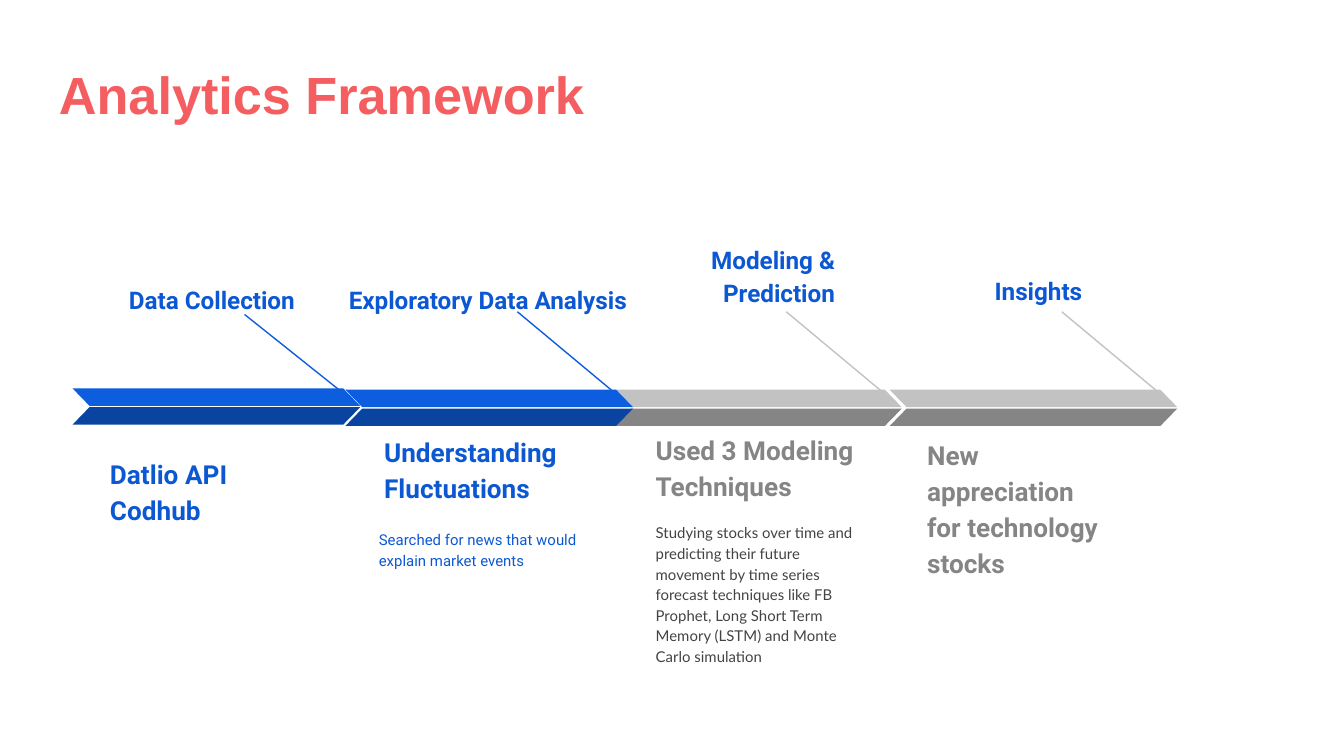
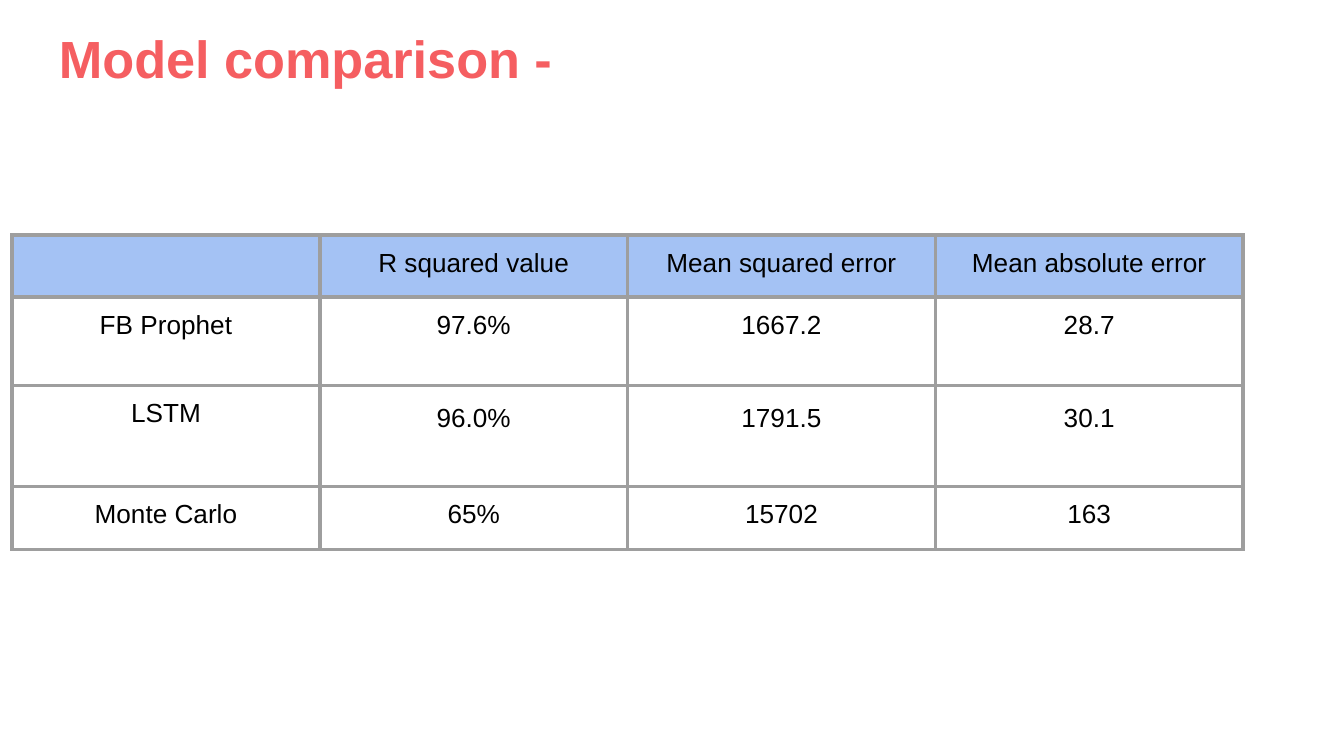
from lxml import etree
from pptx import Presentation
from pptx.dml.color import RGBColor
from pptx.enum.shapes import MSO_CONNECTOR, MSO_SHAPE
from pptx.enum.text import MSO_ANCHOR, PP_ALIGN
from pptx.oxml.ns import qn
from pptx.util import Inches, Pt

LEFT, CENTER, RIGHT = PP_ALIGN.LEFT, PP_ALIGN.CENTER, PP_ALIGN.RIGHT
TOP, BOTTOM = MSO_ANCHOR.TOP, MSO_ANCHOR.BOTTOM
PARALLELOGRAM = MSO_SHAPE.PARALLELOGRAM
STRAIGHT = MSO_CONNECTOR.STRAIGHT

CORAL, BLACK, WHITE = "F55E61", "000000", "FFFFFF"
BLUE, BRIGHT_BLUE, DARK_BLUE = "0C58D3", "0D5DDF", "0944A1"
LIGHT_GRAY, GRAY, CHARCOAL = "C2C2C2", "858585", "434343"
HEADER_BLUE, BORDER_GRAY = "A4C2F4", "9E9E9E"
INSET = Inches(0.1)


def rgb(value):
    return RGBColor.from_string(value)


def write_text(frame, text, *, size, color, font="Arial", bold=False,
               align=LEFT, spacing=1.0):
    for index, line in enumerate(text.split("\n")):
        para = frame.paragraphs[0] if index == 0 else frame.add_paragraph()
        para.alignment = align
        para.line_spacing = spacing
        span = para.add_run()
        span.text = line
        span.font.name = font
        span.font.size = Pt(size)
        span.font.bold = bold
        span.font.color.rgb = rgb(color)


class SlideBuilder:
    def __init__(self):
        self.deck = Presentation()
        self.deck.slide_width = Inches(10)
        self.deck.slide_height = Inches(10) * 9 // 16
        self.page = None

    def start_page(self, title, title_top):
        self.page = self.deck.slides.add_slide(self.deck.slide_layouts[6])
        self.text(title, 0.34, title_top, 9.32, 0.68, anchor=BOTTOM,
                  size=28, color=CORAL, bold=True)

    def text(self, text, left, top, width, height, anchor=TOP, **style):
        box = self.page.shapes.add_textbox(
            Inches(left), Inches(top), Inches(width), Inches(height))
        frame = box.text_frame
        frame.word_wrap = True
        frame.vertical_anchor = anchor
        frame.margin_left = frame.margin_right = INSET
        frame.margin_top = frame.margin_bottom = INSET
        write_text(frame, text, **style)

    def label(self, text, left, top, width, height):
        self.text(text, left, top, width, height, size=13, color=BLUE,
                  font="Roboto", bold=True, align=RIGHT, spacing=1.15)

    def heading(self, text, left, top, width, height, color):
        self.text(text, left, top, width, height, anchor=BOTTOM, size=14,
                  color=color, font="Roboto", bold=True, spacing=1.15)

    def detail(self, text, left, top, font, color):
        self.text(text, left, top, 1.81, 0.7, size=8, color=color,
                  font=font, spacing=1.15)

    def line(self, start_x, start_y, end_x, end_y, color):
        line = self.page.shapes.add_connector(
            STRAIGHT, Inches(start_x), Inches(start_y),
            Inches(end_x), Inches(end_y))
        line.line.color.rgb = rgb(color)
        line.line.width = Pt(0.75)
        etree.SubElement(line.element.spPr, qn("a:effectLst"))

    def half_arrow(self, left, top, color, flipped):
        shape = self.page.shapes.add_shape(
            PARALLELOGRAM, Inches(left), Inches(top), Inches(2.14), Inches(0.13))
        shape.adjustments[0] = 0.97
        shape.shadow.inherit = False
        shape.fill.solid()
        shape.fill.fore_color.rgb = rgb(color)
        shape.line.fill.background()
        if flipped:
            shape.element.spPr.get_or_add_xfrm().set("flipH", "1")

    def stage_arrow(self, left, top, leader_top, light, dark):
        self.line(left + 1.28, leader_top, left + 2.12, top + 0.12, light)
        self.half_arrow(left, top, light, True)
        self.half_arrow(left, top + 0.14, dark, False)

    def cell_borders(self, cell):
        properties = cell._tc.get_or_add_tcPr()
        for side in ("lnL", "lnR", "lnT", "lnB"):
            border = etree.SubElement(
                properties, qn(f"a:{side}"), w=str(Pt(2.25)))
            fill = etree.SubElement(border, qn("a:solidFill"))
            etree.SubElement(fill, qn("a:srgbClr"), val=BORDER_GRAY)

    def table(self, rows, left, top, column_width, row_heights, lowered_cells):
        table = self.page.shapes.add_table(
            len(rows), len(rows[0]), Inches(left), Inches(top),
            Inches(column_width * len(rows[0])), Inches(sum(row_heights))).table
        table.first_row = table.horz_banding = False
        for column in table.columns:
            column.width = Inches(column_width)
        for r, values in enumerate(rows):
            table.rows[r].height = Inches(row_heights[r])
            for c, value in enumerate(values):
                cell = table.cell(r, c)
                cell.margin_left = cell.margin_right = INSET
                cell.margin_top = cell.margin_bottom = INSET
                self.cell_borders(cell)
                cell.fill.solid()
                cell.fill.fore_color.rgb = rgb(WHITE if r else HEADER_BLUE)
                if value:
                    write_text(cell.text_frame, value, size=14, color=BLACK,
                               align=CENTER,
                               spacing=1.15 if (r, c) in lowered_cells else 1.0)
                else:
                    cell.text_frame.paragraphs[0].font.size = Pt(14)


def build_framework(builder):
    builder.start_page("Analytics Framework", 0.35)
    for left, top, leader_top, light, dark in (
            (0.54, 2.89, 2.34, BRIGHT_BLUE, DARK_BLUE),
            (4.57, 2.9, 2.32, LIGHT_GRAY, GRAY),
            (6.62, 2.9, 2.32, LIGHT_GRAY, GRAY),
            (2.57, 2.9, 2.32, BRIGHT_BLUE, DARK_BLUE)):
        builder.stage_arrow(left, top, leader_top, light, dark)

    builder.label("Data Collection", 0.4, 1.99, 1.89, 0.21)
    builder.label("Exploratory Data Analysis", 1.95, 1.99, 2.81, 0.4)
    builder.label("Modeling & Prediction", 4.97, 1.69, 1.34, 0.4)
    builder.label("Insights", 7.21, 1.92, 0.94, 0.4)

    builder.heading("Datlio API\nCodhub", 0.72, 3.25, 1.76, 0.76, BLUE)
    builder.heading("Understanding Fluctuations", 2.76, 3.34, 1.76, 0.51, BLUE)
    builder.heading("Used 3 Modeling Techniques", 4.78, 3.41, 1.76, 0.42, GRAY)
    builder.heading("New appreciation for technology stocks",
                    6.8, 3.04, 1.53, 1.37, GRAY)

    builder.detail("Searched for news that would explain market events",
                   2.72, 3.83, "Roboto", BLUE)
    builder.detail("Studying stocks over time and predicting their future "
                   "movement by time series forecast techniques like FB "
                   "Prophet, Long Short Term Memory (LSTM) and Monte Carlo "
                   "simulation", 4.78, 3.78, "Lato", CHARCOAL)


def build_comparison(builder):
    builder.start_page("Model comparison -", 0.08)
    rows = (
        ("", "R squared value", "Mean squared error", "Mean absolute error"),
        ("FB Prophet", "97.6%", "1667.2", "28.7"),
        ("LSTM", "96.0%", "1791.5", "30.1"),
        ("Monte Carlo", "65%", "15702", "163"),
    )
    builder.table(rows, 0.09, 1.75, 2.29, (0.46, 0.66, 0.75, 0.47),
                  lowered_cells={(2, 1), (2, 2), (2, 3)})


def main():
    builder = SlideBuilder()
    build_framework(builder)
    build_comparison(builder)
    builder.deck.save("out.pptx")


if __name__ == "__main__":
    main()
